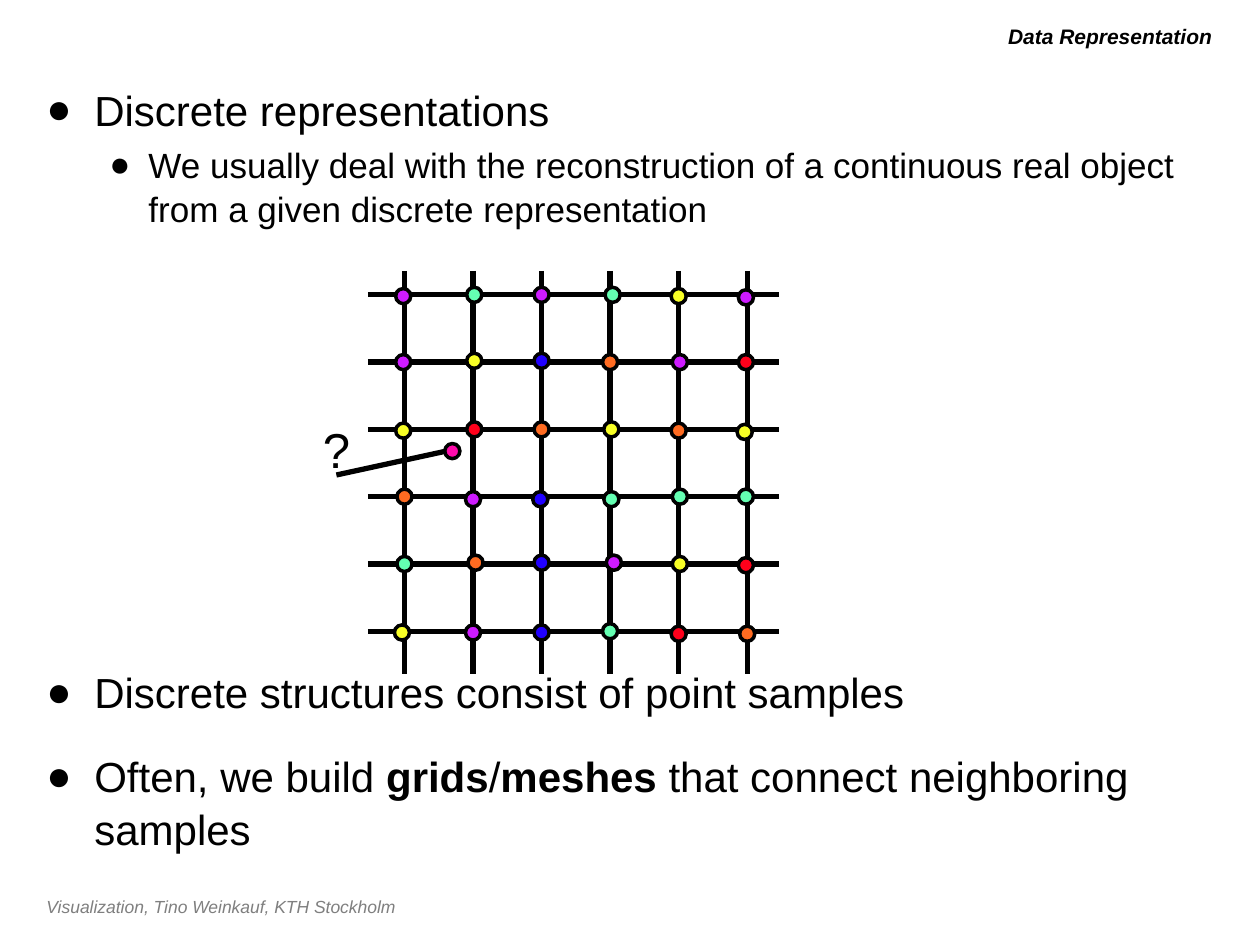
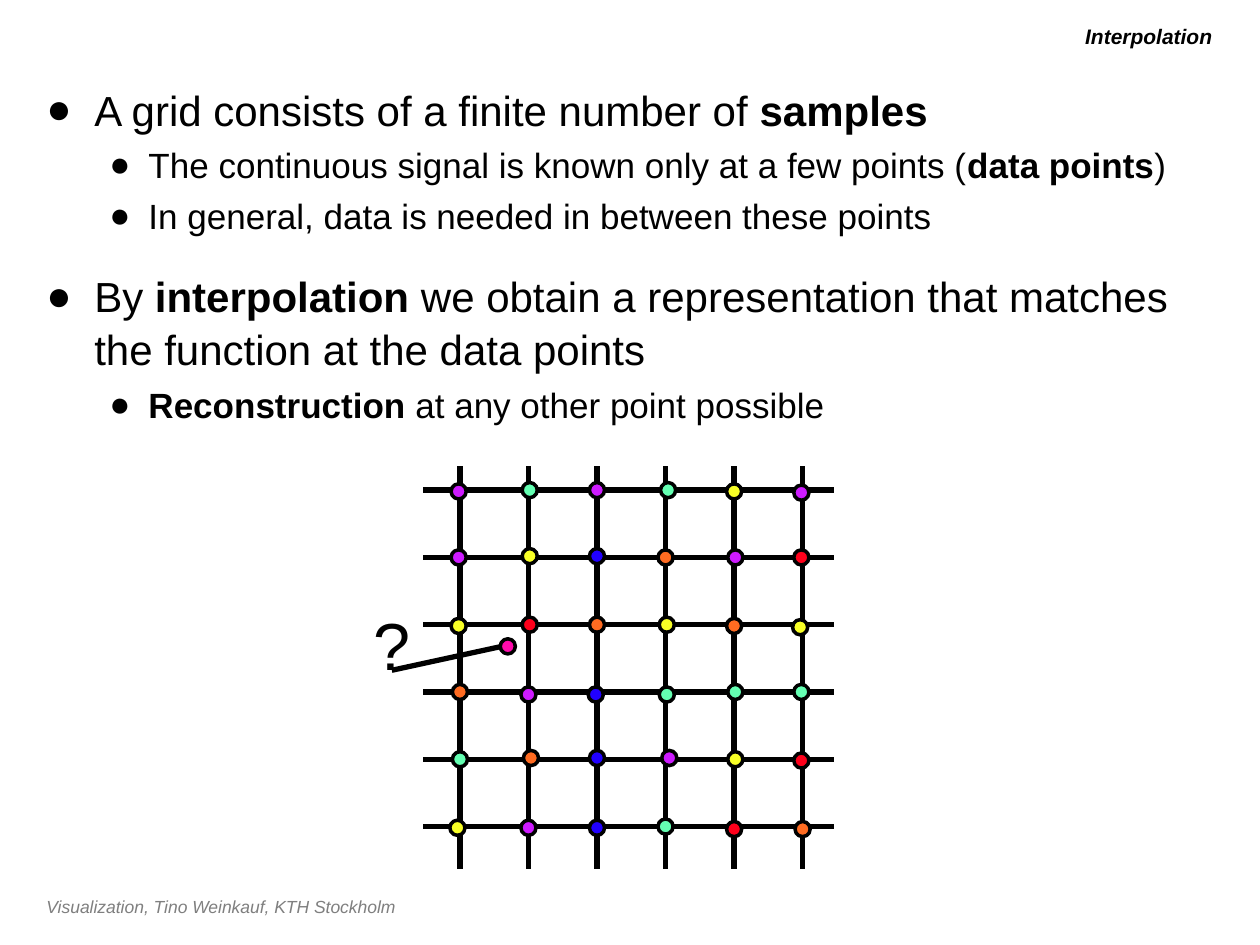
from lxml import etree
from pptx import Presentation
from pptx.dml.color import RGBColor
from pptx.enum.shapes import MSO_CONNECTOR, MSO_SHAPE
from pptx.enum.text import MSO_ANCHOR, PP_ALIGN
from pptx.oxml.ns import qn
from pptx.util import Inches, Pt

LEFT, RIGHT, CENTER = PP_ALIGN.LEFT, PP_ALIGN.RIGHT, PP_ALIGN.CENTER
TOP, MIDDLE = MSO_ANCHOR.TOP, MSO_ANCHOR.MIDDLE
STRAIGHT, OVAL = MSO_CONNECTOR.STRAIGHT, MSO_SHAPE.OVAL

# Shared style
FONT = "Arial"
COLORS = {
    "black": "000000", "gray": "7F7F7F", "pink": "FF0BAC",
    "violet": "CE1BFF", "green": "64FFB2", "yellow": "F8FF26",
    "blue": "2100FF", "orange": "FF6B21", "red": "FF001B",
}
# Bullet levels: text indent, hanging indent, size, space before
LEVELS = [
    {"indent": 0.38, "hanging": 0.38, "size": 24, "before": 18},
    {"indent": 0.81, "hanging": 0.31, "size": 20, "before": 4},
]
LINE_SPACING = 1.05

# Content: bullets are (level, text), with ** around bold words
FOOTER = "Visualization, Tino Weinkauf, KTH Stockholm"
SLIDES = [
    {
        "title": "Data Representation",
        "bodies": [
            (0.6, 1.3, [
                (0, "Discrete representations"),
                (1, "We usually deal with the reconstruction of a continuous "
                    "real object from a given discrete representation"),
            ]),
            (5.22, 1.68, [
                (0, "Discrete structures consist of point samples"),
                (0, "Often, we build **grids**/**meshes **that connect "
                    "neighboring samples"),
            ]),
        ],
        "grid": (2.92, 2.15),
        "question_size": 28,
    },
    {
        "title": "Interpolation",
        "bodies": [
            (0.6, 3.0, [
                (0, "A grid consists of a finite number of **samples**"),
                (1, "The continuous signal is known only at a few points "
                    "(**data points**)"),
                (1, "In general, data is needed in between these points"),
                (0, "By **interpolation** we obtain a representation that "
                    "matches the function at the data points"),
                (1, "**Reconstruction** at any other point possible"),
            ]),
        ],
        "grid": (3.36, 3.7),
        "question_size": 38,
    },
]

# Sample grid: colours by row, and each sample's offset from its
# crossing in hundredths of an inch
SAMPLE_COLORS = [
    "violet green violet green yellow violet",
    "violet yellow blue orange violet red",
    "yellow red orange yellow orange yellow",
    "orange violet blue green green green",
    "green orange blue violet yellow red",
    "yellow violet blue green red orange",
]
SAMPLE_OFFSETS = [
    [(-1, 1), (1, 0), (0, 0), (2, 0), (0, 1), (-1, 2)],
    [(-1, 0), (1, -1), (0, -1), (0, 0), (1, 0), (-1, 0)],
    [(-1, 1), (1, 0), (0, 0), (1, 0), (0, 1), (-2, 2)],
    [(0, 0), (0, 2), (-1, 2), (1, 2), (1, 0), (-1, 0)],
    [(0, 0), (2, -1), (0, -1), (3, -1), (1, 0), (-1, 1)],
    [(-2, 1), (0, 1), (0, 1), (0, 0), (0, 2), (0, 2)],
]
GRID_WIDTH, GRID_HEIGHT = 3.26, 3.2
GRID_COUNT = 6
FIRST_X, LAST_X = 0.29, 3.01
FIRST_Y, LAST_Y = 0.19, 2.86
DOT_SIZE = 0.12


def rgb(name):
    return RGBColor.from_string(COLORS[name])


def add_bullet(para, level):
    style = LEVELS[level]
    properties = para._p.get_or_add_pPr()
    properties.set("marL", str(Inches(style["indent"])))
    properties.set("indent", str(-Inches(style["hanging"])))
    etree.SubElement(properties, qn("a:buFont")).set("typeface", FONT)
    etree.SubElement(properties, qn("a:buChar")).set("char", "●")


def add_spans(para, text, size, color="black", bold=False, italic=False):
    for index, part in enumerate(text.split("**")):
        if part:
            span = para.add_run()
            span.text = part
            span.font.name = FONT
            span.font.size = Pt(size)
            span.font.bold = bold or index % 2 == 1
            span.font.italic = italic
            span.font.color.rgb = rgb(color)


def add_frame(page, left, top, width, height, anchor=MIDDLE):
    box = page.shapes.add_textbox(*map(Inches, (left, top, width, height)))
    box.text_frame.word_wrap = True
    box.text_frame.vertical_anchor = anchor
    return box.text_frame


def add_label(page, text, *area, align=LEFT, margin=None, **style):
    frame = add_frame(page, *area)
    if margin is not None:
        frame.margin_left = frame.margin_right = Inches(margin)
        frame.margin_top = frame.margin_bottom = Inches(margin)
    para = frame.paragraphs[0]
    para.alignment = align
    add_spans(para, text, **style)


def add_body(page, top, height, bullets):
    frame = add_frame(page, 0.27, top, 9.45, height, anchor=TOP)
    for index, (level, text) in enumerate(bullets):
        para = frame.add_paragraph() if index else frame.paragraphs[0]
        para.line_spacing = LINE_SPACING
        if index:
            para.space_before = Pt(LEVELS[level]["before"])
        add_bullet(para, level)
        add_spans(para, text, LEVELS[level]["size"])


def add_line(page, x1, y1, x2, y2):
    line = page.shapes.add_connector(STRAIGHT, *map(Inches, (x1, y1, x2, y2)))
    line.line.color.rgb = rgb("black")
    line.line.width = Pt(3)
    etree.SubElement(line._element.spPr, qn("a:effectLst"))


def add_dot(page, x, y, color):
    corner = (x - DOT_SIZE / 2, y - DOT_SIZE / 2)
    dot = page.shapes.add_shape(
        OVAL, *map(Inches, (*corner, DOT_SIZE, DOT_SIZE)))
    dot.shadow.inherit = False
    dot.fill.solid()
    dot.fill.fore_color.rgb = rgb(color)
    dot.line.color.rgb = rgb("black")
    dot.line.width = Pt(2)


def spread(first, last):
    step = (last - first) / (GRID_COUNT - 1)
    return [first + step * index for index in range(GRID_COUNT)]


def add_question(page, left, top, size):
    """Unknown value between the samples, with its pointer."""
    add_line(page, left - 0.25, top + 1.62, left + 0.67, top + 1.42)
    add_dot(page, left + 0.67, top + 1.43, "pink")
    add_label(page, "?", left - 0.61, top + 1.12, 0.72, 0.58,
              align=CENTER, margin=0, size=size)


def add_grid(page, left, top):
    columns = spread(left + FIRST_X, left + LAST_X)
    rows = spread(top + FIRST_Y, top + LAST_Y)
    for y in rows:
        add_line(page, left, y, left + GRID_WIDTH, y)
    for x in columns:
        add_line(page, x, top, x, top + GRID_HEIGHT)
    for y, colors, offsets in zip(rows, SAMPLE_COLORS, SAMPLE_OFFSETS):
        for x, color, (dx, dy) in zip(columns, colors.split(), offsets):
            add_dot(page, x + dx / 100, y + dy / 100, color)


def main():
    deck = Presentation()
    deck.slide_width, deck.slide_height = Inches(10), Inches(7.5)
    for content in SLIDES:
        page = deck.slides.add_slide(deck.slide_layouts[6])
        # Footer and title
        add_label(page, FOOTER, 0.27, 7.06, 7.39, 0.27,
                  size=10, color="gray", italic=True)
        add_label(page, content["title"], 1.58, 0.13, 8.14, 0.31,
                  align=RIGHT, size=12, bold=True, italic=True)
        # Bullets
        for body in content["bodies"]:
            add_body(page, *body)
        # Sampled grid
        add_question(page, *content["grid"], content["question_size"])
        add_grid(page, *content["grid"])
    deck.save("out.pptx")


if __name__ == "__main__":
    main()
